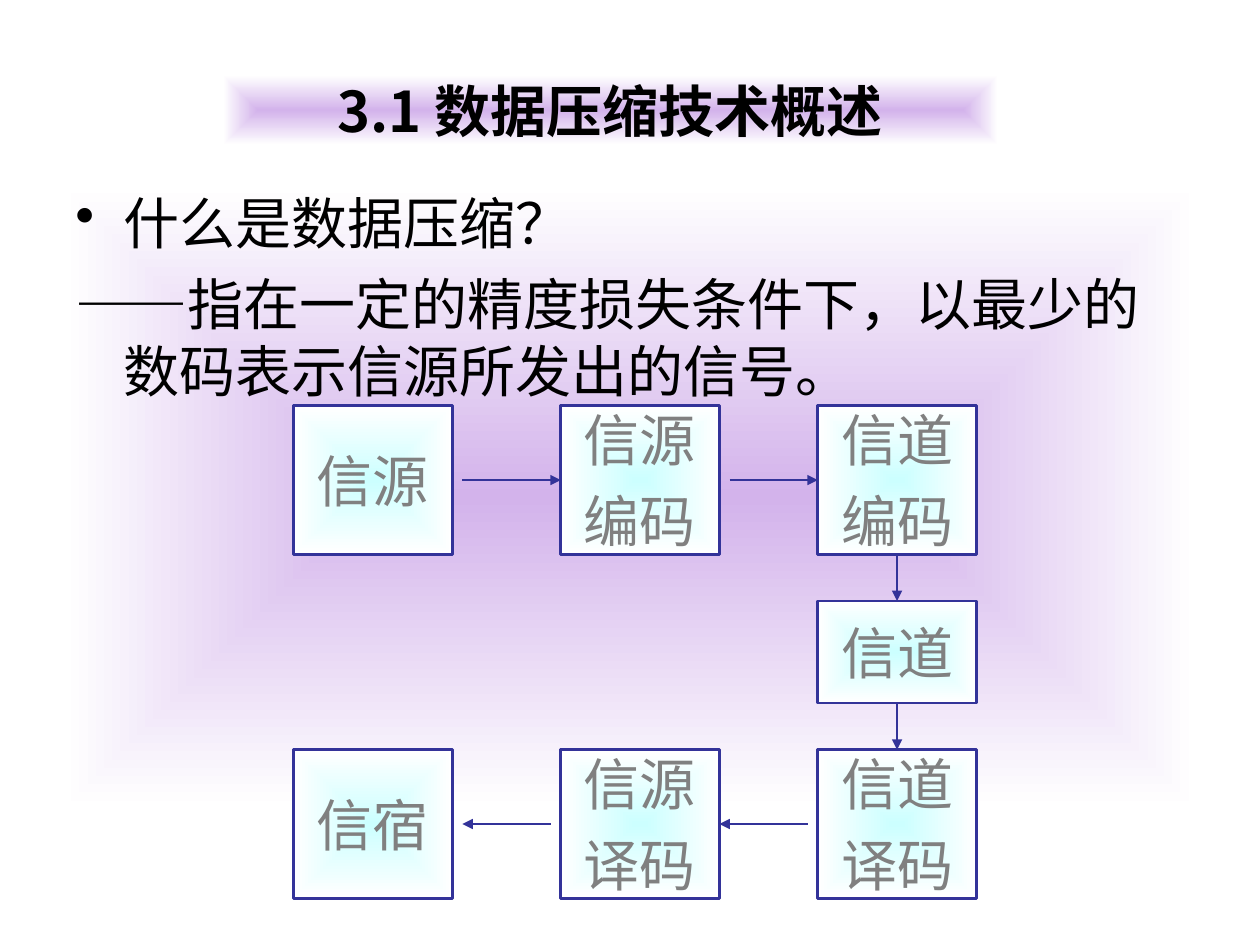
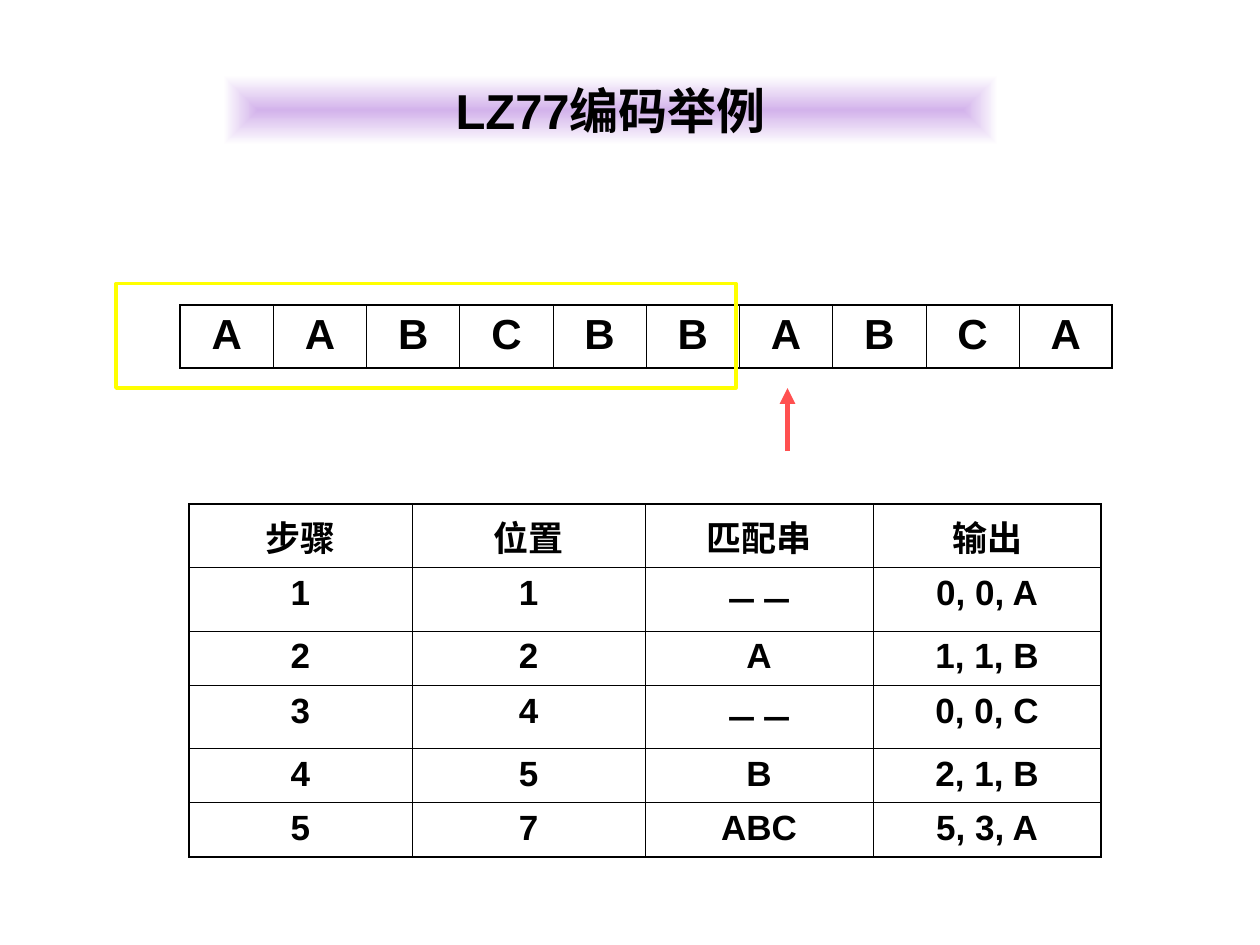
from lxml.etree import SubElement
from pptx import Presentation
from pptx.dml.color import RGBColor
from pptx.enum.shapes import MSO_CONNECTOR, MSO_SHAPE
from pptx.enum.text import MSO_ANCHOR, MSO_AUTO_SIZE, PP_ALIGN
from pptx.oxml.ns import qn
from pptx.util import Inches, Pt

CJK, SANS, SERIF = "Noto Sans CJK SC", "Arial", "Times New Roman"
BLACK, WHITE, GREY = "000000", "FFFFFF", "808080"
LILAC, AQUA, NAVY, YELLOW, RED = "D3B3EB", "CCFFFF", "333399", "FFFF00", "FF5050"
LINE_PITCH, PARAGRAPH_GAP = Pt(38.3), Pt(8)

OVERVIEW_TITLE = "3.1 数据压缩技术概述"
QUESTION = "什么是数据压缩？"
DASH, ANSWER = "——", "指在一定的精度损失条件下，以最少的数码表示信源所发出的信号。"

STAGE_WIDTH, STAGE_HEIGHT, GAP = 1.26, 1.18, 0.08
COLUMNS = (2.33, 4.45, 6.49)
TOP_ROW, CHANNEL_ROW, BOTTOM_ROW = 3.22, 4.77, 5.95
STAGES = [
    (["信源"], COLUMNS[0], TOP_ROW, STAGE_HEIGHT),
    (["信源", "编码"], COLUMNS[1], TOP_ROW, STAGE_HEIGHT),
    (["信道", "编码"], COLUMNS[2], TOP_ROW, STAGE_HEIGHT),
    (["信道"], COLUMNS[2], CHANNEL_ROW, 0.81),
    (["信道", "译码"], COLUMNS[2], BOTTOM_ROW, STAGE_HEIGHT),
    (["信源", "译码"], COLUMNS[1], BOTTOM_ROW, STAGE_HEIGHT),
    (["信宿"], COLUMNS[0], BOTTOM_ROW, STAGE_HEIGHT),
]
LINK_GAPS = [(GAP, 0), (GAP, 0), (0, 0), (0, 0), (GAP, 0), (GAP, GAP)]

EXAMPLE_TITLE = "LZ77编码举例"
SYMBOLS = [list("AABCBBABCA")]
STEPS = [
    ("步骤", "位置", "匹配串", "输出"),
    ("1", "1", "－－", "0, 0, A"),
    ("2", "2", "A", "1, 1, B"),
    ("3", "4", "－－", "0, 0, C"),
    ("4", "5", "B", "2, 1, B"),
    ("5", "7", "ABC", "5, 3, A"),
]


def rgb(value):
    """Turn a hex string into a colour."""
    return RGBColor.from_string(value)


def style(paragraph, face, size, color=BLACK, bold=False):
    """Set the Latin and East Asian font of a paragraph."""
    font = paragraph.font
    font.name, font.size, font.bold = face, Pt(size), bold
    font.color.rgb = rgb(color)
    defaults = paragraph._p.pPr.find(qn("a:defRPr"))
    SubElement(defaults, qn("a:ea"), typeface=CJK)


def glow(shape, center):
    """Fill a shape with a rectangular gradient fading to white."""
    shape.fill.gradient()
    for stop, color, position in zip(shape.fill.gradient_stops, (center, WHITE), (0, 1)):
        stop.color.rgb, stop.position = rgb(color), position
    gradient = shape._element.spPr.find(qn("a:gradFill"))
    gradient.remove(gradient.find(qn("a:lin")))
    shade = SubElement(gradient, qn("a:path"), path="rect")
    SubElement(shade, qn("a:fillToRect"), dict.fromkeys("ltrb", "50000"))


def add_titled_slide(deck, text, face, size):
    """Add a slide with the shared title band."""
    slide = deck.slides.add_slide(deck.slide_layouts[5])
    title = slide.shapes.title
    title.left, title.top, title.width, title.height = map(Inches, (1.77, 0.6, 6.15, 0.55))
    glow(title, LILAC)
    frame = title.text_frame
    frame.text = text
    frame.auto_size, frame.vertical_anchor = MSO_AUTO_SIZE.NONE, MSO_ANCHOR.MIDDLE
    frame.paragraphs[0].alignment = PP_ALIGN.CENTER
    style(frame.paragraphs[0], face, size, bold=True)
    return slide


def add_arrow(slide, start, end, color, width):
    """Draw a straight arrow between two points in inches."""
    arrow = slide.shapes.add_connector(MSO_CONNECTOR.STRAIGHT, *map(Inches, start + end))
    arrow.line.color.rgb, arrow.line.width = rgb(color), Pt(width)
    SubElement(arrow.line._get_or_add_ln(), qn("a:tailEnd"), type="triangle")
    SubElement(arrow._element.spPr, qn("a:effectLst"))


def add_definition(slide):
    """Add the question and its answer on the lilac panel."""
    panel = slide.shapes.add_textbox(*map(Inches, (0.5, 1.47, 9, 4.95)))
    glow(panel, LILAC)
    frame = panel.text_frame
    frame.word_wrap, frame.margin_top = True, Inches(0.03)
    question, answer = frame.paragraphs[0], frame.add_paragraph()
    question.text = QUESTION
    for text in (DASH, ANSWER):
        answer.add_run().text = text
    answer.runs[0].font.name = CJK
    answer.space_before = PARAGRAPH_GAP
    for paragraph in (question, answer):
        properties = paragraph._p.get_or_add_pPr()
        properties.set("marL", str(Inches(0.38)))
        properties.set("indent", str(-Inches(0.38)))
        paragraph.line_spacing = LINE_PITCH
    SubElement(question._p.pPr, qn("a:buChar"), char="•")
    for paragraph in (question, answer):
        style(paragraph, SANS, 32)


def add_stage(slide, lines, left, top, height):
    """Add one box of the communication chain."""
    box = slide.shapes.add_shape(
        MSO_SHAPE.RECTANGLE, *map(Inches, (left, top, STAGE_WIDTH, height)))
    box.shadow.inherit = False
    glow(box, AQUA)
    box.line.color.rgb, box.line.width = rgb(NAVY), Pt(1.5)
    frame = box.text_frame
    frame.text = "\n".join(lines)
    frame.word_wrap, frame.vertical_anchor = False, MSO_ANCHOR.MIDDLE
    for index, paragraph in enumerate(frame.paragraphs):
        paragraph.alignment, paragraph.line_spacing = PP_ALIGN.CENTER, LINE_PITCH
        if index:
            paragraph.space_before = PARAGRAPH_GAP
        style(paragraph, SERIF, 32, GREY)


def link_ends(source, target, leave, arrive):
    """Find where an arrow leaves one stage and reaches the next."""
    (_, x1, y1, h1), (_, x2, y2, _) = source, target
    if x1 == x2:
        middle = x1 + STAGE_WIDTH / 2
        return (middle, y1 + h1 + leave), (middle, y2 - arrive)
    middle = y1 + h1 / 2
    if x1 < x2:
        return (x1 + STAGE_WIDTH + leave, middle), (x2 - arrive, middle)
    return (x1 - leave, middle), (x2 + STAGE_WIDTH + arrive, middle)


def add_grid(slide, rows, left, top, widths, height, size):
    """Add a bordered table with a heavier outline."""
    last_row, last_column = len(rows) - 1, len(widths) - 1
    table = slide.shapes.add_table(
        len(rows), len(widths),
        *map(Inches, (left, top, sum(widths), height * len(rows)))).table
    table.first_row = table.horz_banding = False
    for column, width in zip(table.columns, widths):
        column.width = Inches(width)
    for r, row in enumerate(rows):
        table.rows[r].height = Inches(height)
        for c, text in enumerate(row):
            cell = table.cell(r, c)
            cell.text = text
            paragraph = cell.text_frame.paragraphs[0]
            paragraph.alignment = PP_ALIGN.CENTER
            style(paragraph, SANS, size, bold=True)
            outer = {"L": c == 0, "R": c == last_column, "T": r == 0, "B": r == last_row}
            for side, on_edge in outer.items():
                border = SubElement(
                    cell._tc.get_or_add_tcPr(), qn("a:ln" + side),
                    w=str(Pt(1.08 if on_edge else 0.45)))
                ink = SubElement(border, qn("a:solidFill"))
                SubElement(ink, qn("a:srgbClr"), val=BLACK)
            cell.fill.background()


def build_overview(deck):
    """Build the slide that defines data compression."""
    slide = add_titled_slide(deck, OVERVIEW_TITLE, CJK, 32)
    add_definition(slide)
    for stage in STAGES:
        add_stage(slide, *stage)
    for source, target, gaps in zip(STAGES, STAGES[1:], LINK_GAPS):
        add_arrow(slide, *link_ends(source, target, *gaps), NAVY, 1.5)


def build_example(deck):
    """Build the slide with the coding example."""
    slide = add_titled_slide(deck, EXAMPLE_TITLE, SANS, 28)
    add_grid(slide, SYMBOLS, 1.43, 2.42, [0.74] * 10, 0.5, 24)
    window = slide.shapes.add_shape(
        MSO_SHAPE.RECTANGLE, *map(Inches, (0.92, 2.25, 4.92, 0.83)))
    window.shadow.inherit = False
    window.fill.background()
    window.line.color.rgb, window.line.width = rgb(YELLOW), Pt(2)
    add_arrow(slide, (6.25, 3.58), (6.25, 3.08), RED, 3)
    add_grid(slide, STEPS, 1.5, 4, [1.77, 1.85, 1.81, 1.81], 0.43, 20)


def main():
    """Build and save the deck."""
    deck = Presentation()
    deck.slide_width, deck.slide_height = Inches(10), Inches(7.5)
    build_overview(deck)
    build_example(deck)
    deck.save("out.pptx")


if __name__ == "__main__":
    main()
